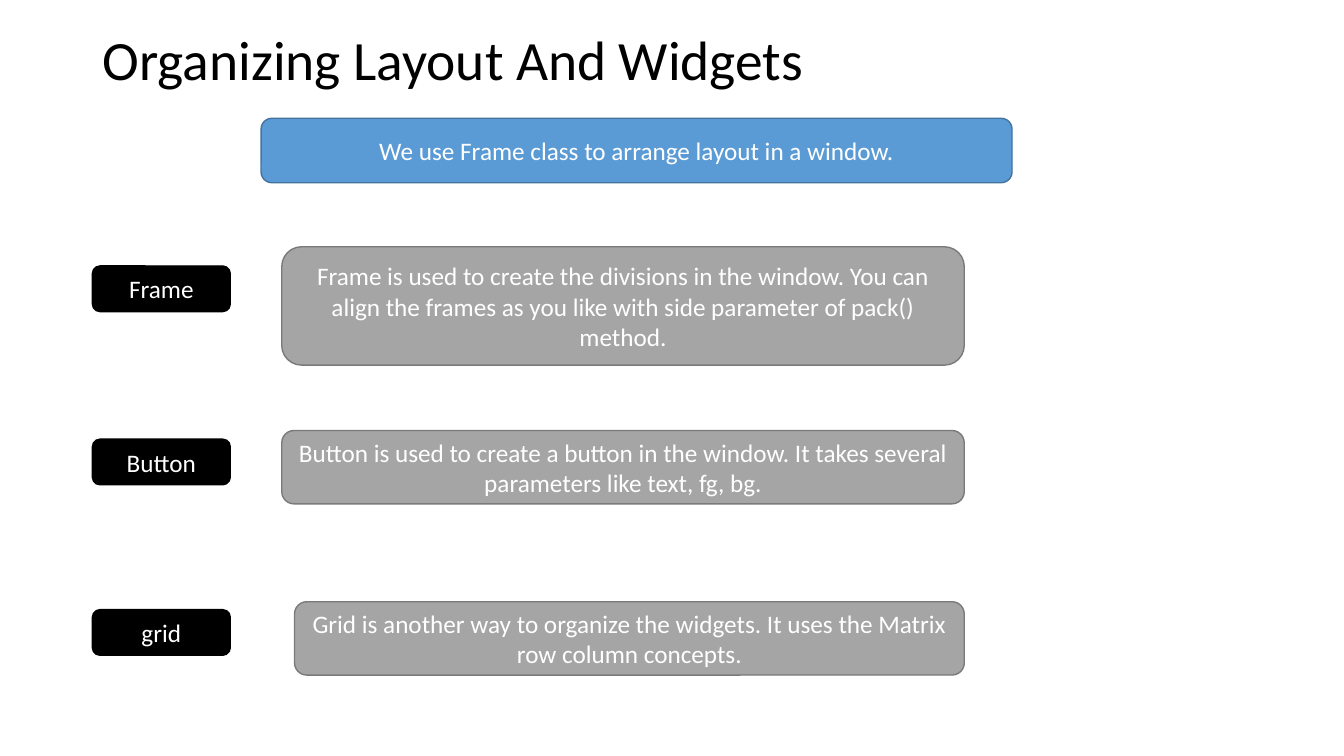
import pptx
import pptx.dml.color
import pptx.enum.shapes
import pptx.enum.text
import pptx.util

Pt = pptx.util.Pt
ALIGN = pptx.enum.text.PP_ALIGN


class Theme:
    font = "Calibri"
    title_size = 39.6
    body_size = 18
    title_color = "000000"
    box_text = "FFFFFF"
    # Fill and outline of each kind of box
    banner = ("5B9BD5", "43739E")
    label = ("000000", "000000")
    detail = ("A5A5A5", "7A7A7A")


def write_text(shape, text, size=Theme.body_size, color=Theme.box_text,
               align=ALIGN.CENTER, line_spacing=1.0):
    frame = shape.text_frame
    frame.word_wrap = True
    frame.vertical_anchor = pptx.enum.text.MSO_ANCHOR.MIDDLE
    para = frame.paragraphs[0]
    para.alignment = align
    para.line_spacing = line_spacing
    span = para.add_run()
    span.text = text
    span.font.name = Theme.font
    span.font.size = Pt(size)
    span.font.color.rgb = pptx.dml.color.RGBColor.from_string(color)


def add_box(page, text, left, top, width, height, colors):
    box = page.shapes.add_shape(
        pptx.enum.shapes.MSO_SHAPE.ROUNDED_RECTANGLE,
        Pt(left), Pt(top), Pt(width), Pt(height))
    fill, outline = colors
    box.shadow.inherit = False
    box.fill.solid()
    box.fill.fore_color.rgb = pptx.dml.color.RGBColor.from_string(fill)
    box.line.color.rgb = pptx.dml.color.RGBColor.from_string(outline)
    box.line.width = Pt(1)
    write_text(box, text)


deck = pptx.Presentation()
deck.slide_width = Pt(960)
deck.slide_height = Pt(540)
page = deck.slides.add_slide(deck.slide_layouts[6])

# Title
title = page.shapes.add_textbox(Pt(66.2), Pt(28.8), Pt(828), Pt(32.4))
write_text(title, "Organizing Layout And Widgets", size=Theme.title_size,
           color=Theme.title_color, align=ALIGN.LEFT, line_spacing=0.9)

# Banner
add_box(page, "We use Frame class to arrange layout in a window.",
        186.5, 84.5, 536.4, 46, Theme.banner)

# Widget rows: label, label top, description, its left, top and height
rows = [
    ("Frame", 190,
     "Frame is used to create the divisions in the window. You can align "
     "the frames as you like with side parameter of pack() method.",
     201.3, 176.3, 84.5),
    ("Button", 313.7,
     "Button is used to create a button in the window. It takes several "
     "parameters like text, fg, bg.",
     201.3, 307.5, 52.4),
    ("grid", 435.5,
     "Grid is another way to organize the widgets. It uses the Matrix row "
     "column concepts.",
     210.4, 429.8, 52.4),
]
detail_right = 688.8
for label, label_top, detail, left, top, height in rows:
    add_box(page, label, 66, label_top, 98.5, 32.6, Theme.label)
    add_box(page, detail, left, top, detail_right - left, height, Theme.detail)

deck.save("out.pptx")
